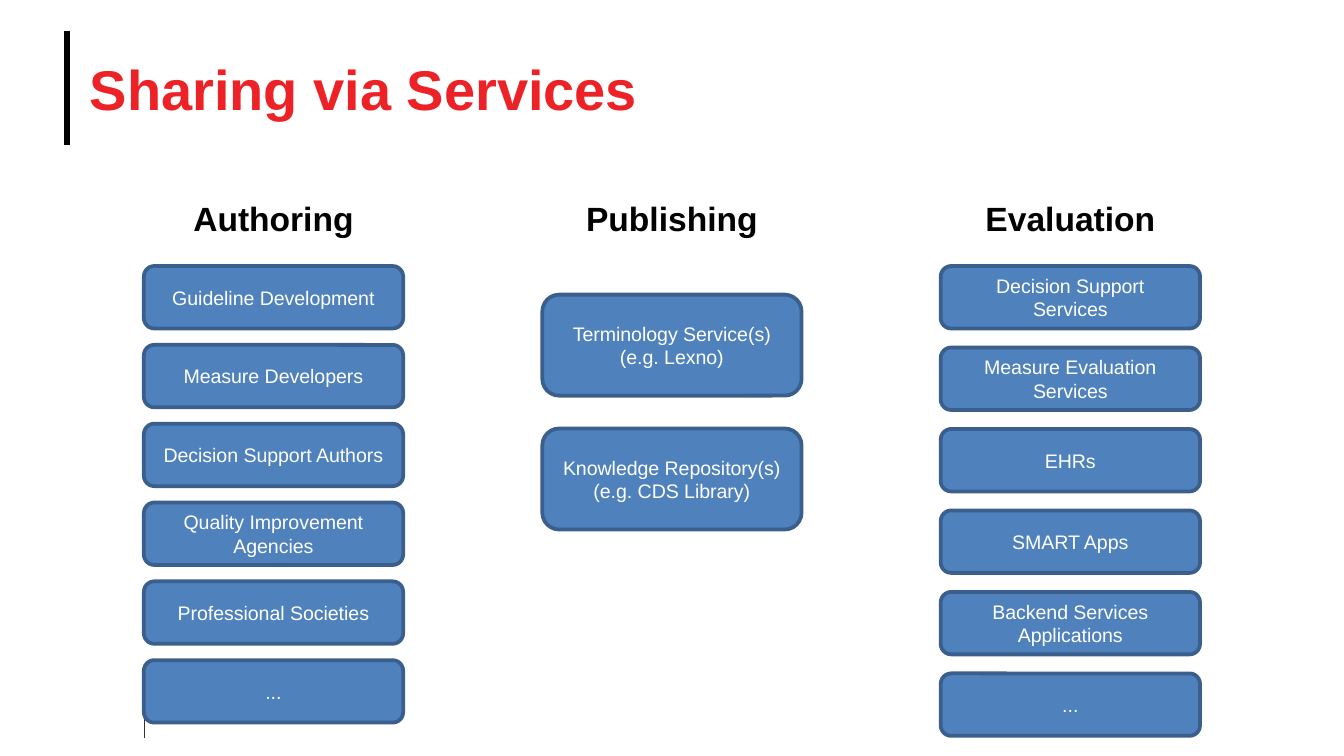
from dataclasses import dataclass

from pptx import Presentation
from pptx import util as u
from pptx.dml.color import RGBColor
from pptx.enum import shapes, text
from pptx.oxml.ns import qn
from pptx.slide import Slide
from pptx.text.text import TextFrame
from lxml import etree


@dataclass(frozen=True)
class Theme:
    font: str = "Arial"
    title: str = "EC2227"
    ink: str = "000000"
    thin_line: str = "3D3029"
    box_fill: str = "4F81BD"
    box_line: str = "3A5F8C"
    box_text: str = "FFFFFF"
    title_size: float = 30
    heading_size: float = 18
    box_size: float = 10.5


@dataclass(frozen=True)
class Column:
    heading: str
    top: float
    pitch: float
    box_height: float
    boxes: tuple[str, ...]


THEME = Theme()
COLUMN_LEFT, COLUMN_STEP, COLUMN_WIDTH = 2.72, 7.53, 4.9
HEADING_TOP, HEADING_HEIGHT = 3.62, 1.02

COLUMNS = (
    Column("Authoring", 5.03, 1.49, 1.18, (
        "Guideline Development", "Measure Developers", "Decision Support Authors",
        "Quality Improvement Agencies", "Professional Societies", "...")),
    Column("Publishing", 5.57, 2.53, 1.91, (
        "Terminology Service(s) (e.g. Lexno)",
        "Knowledge Repository(s)\n(e.g. CDS Library)")),
    Column("Evaluation", 5.03, 1.54, 1.18, (
        "Decision Support Services", "Measure Evaluation Services", "EHRs",
        "SMART Apps", "Backend Services Applications", "...")),
)


def write(tf: TextFrame, content: str, size: float, color: str, bold: bool = False,
          align: text.PP_ALIGN = text.PP_ALIGN.CENTER) -> None:
    """Fill a text frame, one paragraph to each line of content."""
    tf.text = content
    tf.word_wrap = True
    for p in tf.paragraphs:
        p.alignment = align
        p.font.name = THEME.font
        p.font.size = u.Pt(size)
        p.font.bold = bold
        p.font.color.rgb = RGBColor.from_string(color)


def add_vertical_line(s: Slide, x: float, top: float, bottom: float,
                      color: str, width: float) -> None:
    line = s.shapes.add_connector(shapes.MSO_CONNECTOR.STRAIGHT,
                                  u.Cm(x), u.Cm(top), u.Cm(x), u.Cm(bottom))
    line.line.color.rgb = RGBColor.from_string(color)
    line.line.width = u.Pt(width)
    etree.SubElement(line._element.spPr, qn("a:effectLst"))


def add_title(s: Slide, content: str) -> None:
    sp = s.shapes.title
    sp.left, sp.top, sp.width, sp.height = u.Cm(1.7), u.Cm(0.58), u.Cm(22.86), u.Cm(2.18)
    tf = sp.text_frame
    tf.margin_left = tf.margin_right = tf.margin_top = tf.margin_bottom = 0
    tf.vertical_anchor = text.MSO_ANCHOR.MIDDLE
    tf.auto_size = text.MSO_AUTO_SIZE.NONE
    write(tf, content, THEME.title_size, THEME.title, True, text.PP_ALIGN.LEFT)


def add_box(s: Slide, left: float, top: float, height: float, label: str) -> None:
    sp = s.shapes.add_shape(shapes.MSO_SHAPE.ROUNDED_RECTANGLE, u.Cm(left), u.Cm(top),
                            u.Cm(COLUMN_WIDTH), u.Cm(height))
    sp.shadow.inherit = False
    sp.fill.solid()
    sp.fill.fore_color.rgb = RGBColor.from_string(THEME.box_fill)
    sp.line.color.rgb = RGBColor.from_string(THEME.box_line)
    sp.line.width = u.Pt(2)
    sp.text_frame.vertical_anchor = text.MSO_ANCHOR.MIDDLE
    write(sp.text_frame, label, THEME.box_size, THEME.box_text)


def add_column(s: Slide, left: float, column: Column) -> None:
    heading = s.shapes.add_textbox(u.Cm(left), u.Cm(HEADING_TOP),
                                   u.Cm(COLUMN_WIDTH), u.Cm(HEADING_HEIGHT))
    write(heading.text_frame, column.heading, THEME.heading_size, THEME.ink, True)
    for i, label in enumerate(column.boxes):
        add_box(s, left, column.top + i * column.pitch, column.box_height, label)


def main() -> None:
    prs = Presentation()
    prs.slide_width, prs.slide_height = u.Cm(25.4), u.Cm(14.29)
    s = prs.slides.add_slide(prs.slide_layouts[5])
    add_title(s, "Sharing via Services")
    add_vertical_line(s, 1.27, 0.58, 2.75, THEME.ink, 3.25)
    add_vertical_line(s, 2.73, 12.88, 13.95, THEME.thin_line, 0.75)
    for i, column in enumerate(COLUMNS):
        add_column(s, COLUMN_LEFT + i * COLUMN_STEP, column)
    prs.save("out.pptx")


if __name__ == "__main__":
    main()
